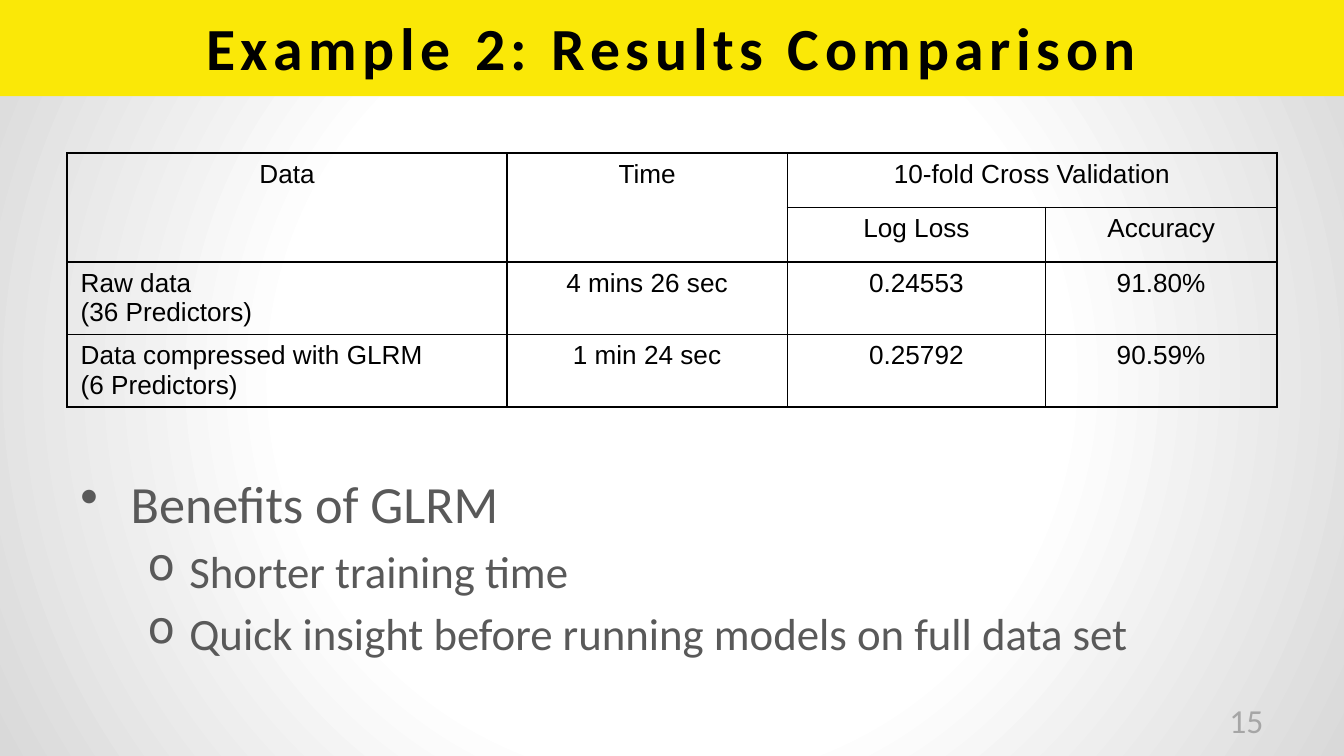
"""Build the results comparison slide with its table and benefits list."""
from lxml.etree import SubElement
from pptx import Presentation
from pptx.dml.color import RGBColor
from pptx.enum.shapes import MSO_SHAPE
from pptx.enum.text import MSO_ANCHOR, PP_ALIGN
from pptx.oxml import parse_xml
from pptx.oxml.ns import nsdecls, qn
from pptx.util import Cm, Pt

COLORS = {"band": "FAE807", "ink": "000000", "body": "595959",
          "number": "A6A6A6", "center": "FFFFFF", "edge": "D9D9D9"}


def style(p, size, color, name="Calibri", align=PP_ALIGN.LEFT):
    p.alignment = align
    p.font.size = Pt(size)
    p.font.name = name
    p.font.color.rgb = RGBColor.from_string(COLORS[color])


def add_text(s, left, top, width, height):
    tf = s.shapes.add_textbox(Cm(left), Cm(top), Cm(width), Cm(height)).text_frame
    tf.word_wrap = True
    return tf


prs = Presentation()
prs.slide_width, prs.slide_height = Cm(25.4), Cm(14.29)
s = prs.slides.add_slide(prs.slide_layouts[5])

s.background.fill.solid()
bg = s.element.find(".//" + qn("p:bgPr"))
bg.replace(bg[0], parse_xml(
    f'<a:gradFill {nsdecls("a")} rotWithShape="1"><a:gsLst>'
    f'<a:gs pos="50000"><a:srgbClr val="{COLORS["center"]}"/></a:gs>'
    f'<a:gs pos="100000"><a:srgbClr val="{COLORS["edge"]}"/></a:gs></a:gsLst>'
    '<a:path path="circle"><a:fillToRect l="50000" t="50000" r="50000" b="50000"/>'
    '</a:path></a:gradFill>'))

band = s.shapes.add_shape(MSO_SHAPE.RECTANGLE, 0, 0, prs.slide_width, Cm(1.82))
band.shadow.inherit = False
band.fill.solid()
band.fill.fore_color.rgb = RGBColor.from_string(COLORS["band"])
band.line.fill.background()

title = s.shapes.title
title.element.addprevious(band.element)
title.left, title.top, title.width, title.height = Cm(1.27), Cm(-0.02), Cm(22.86), Cm(1.82)
tf = title.text_frame
tf.text = "Example 2: Results Comparison"
tf.vertical_anchor = MSO_ANCHOR.MIDDLE
p = tf.paragraphs[0]
style(p, 32, "ink", align=PP_ALIGN.CENTER)
p.font.bold = True
p.runs[0]._r.get_or_add_rPr().set("spc", "300")

rows = [
    ["Data", "Time", "10-fold Cross Validation", ""],
    ["", "", "Log Loss", "Accuracy"],
    ["Raw data\v(36 Predictors)", "4 mins 26 sec", "0.24553", "91.80%"],
    ["Data compressed with GLRM\v(6 Predictors)", "1 min 24 sec", "0.25792", "90.59%"],
]
table = s.shapes.add_table(4, 4, Cm(1.27), Cm(2.89), Cm(22.86), Cm(4.8)).table
for column, width in zip(table.columns, [8.31, 5.3, 4.88, 4.37]):
    column.width = Cm(width)
for row, height in zip(table.rows, [1.03, 1.03, 1.37, 1.37]):
    row.height = Cm(height)
for i, values in enumerate(rows):
    for j, value in enumerate(values):
        cell = table.cell(i, j)
        cell.text = value
        left = j == 0 and i > 1
        style(cell.text_frame.paragraphs[0], 14, "ink", "Arial",
              PP_ALIGN.LEFT if left else PP_ALIGN.CENTER)
        tcPr = cell._tc.get_or_add_tcPr()
        for side in ("a:lnL", "a:lnR", "a:lnT", "a:lnB"):
            ln = SubElement(tcPr, qn(side), w="12700")
            SubElement(SubElement(ln, qn("a:solidFill")), qn("a:srgbClr"), val=COLORS["ink"])
        cell.fill.background()
for first, last in [((0, 0), (1, 0)), ((0, 1), (1, 1)), ((0, 2), (0, 3))]:
    table.cell(*first).merge(table.cell(*last))

benefits = [
    ("Benefits of GLRM", 0, 28, "•", 0.95, 0.95),
    ("Shorter training time", 1, 24, "o", 2.06, 0.79),
    ("Quick insight before running models on full data set", 1, 24, "o", 2.06, 0.79),
]
tf = add_text(s, 1.27, 8.79, 22.86, 3.96)
for i, (text, level, size, bullet, margin, hanging) in enumerate(benefits):
    p = tf.add_paragraph() if i else tf.paragraphs[0]
    p.text = text
    p.level = level
    p.space_before = Pt(size * 0.2)
    style(p, size, "body")
    pPr = p._p.get_or_add_pPr()
    pPr.set("marL", str(Cm(margin)))
    pPr.set("indent", str(-Cm(hanging)))
    pPr.find(qn("a:defRPr")).addprevious(
        parse_xml(f'<a:buChar {nsdecls("a")} char="{bullet}"/>'))

tf = add_text(s, 18.21, 13.23, 5.92, 0.76)
tf.vertical_anchor = MSO_ANCHOR.MIDDLE
tf.text = "15"
style(tf.paragraphs[0], 18, "number", align=PP_ALIGN.RIGHT)

prs.save("out.pptx")
